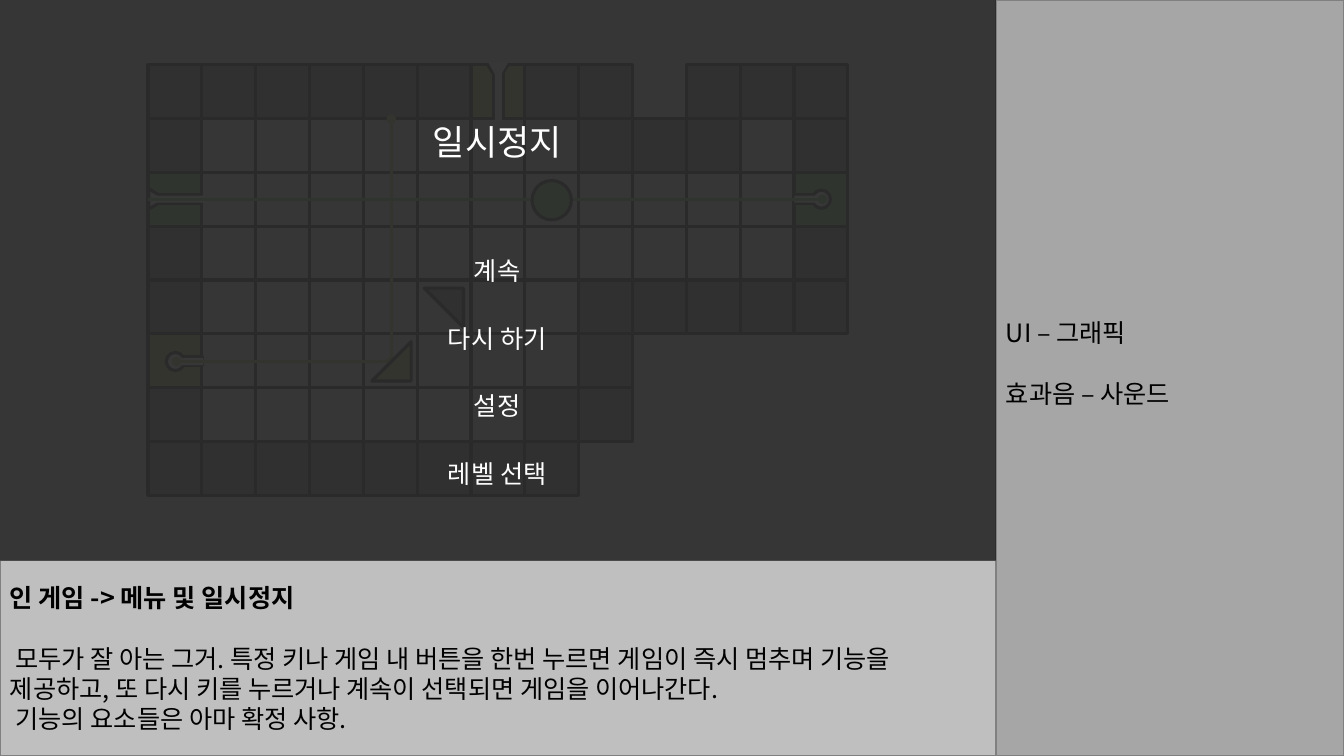
from dataclasses import dataclass

from lxml import etree
from pptx import Presentation
from pptx.dml.color import RGBColor
from pptx.enum.shapes import MSO_CONNECTOR, MSO_SHAPE
from pptx.enum.text import MSO_ANCHOR, MSO_AUTO_SIZE, PP_ALIGN
from pptx.oxml.ns import qn
from pptx.util import Cm, Pt

RECT, OVAL = MSO_SHAPE.RECTANGLE, MSO_SHAPE.OVAL
WEDGE, STRIPE = MSO_SHAPE.ISOSCELES_TRIANGLE, MSO_SHAPE.DIAGONAL_STRIPE
STRAIGHT = MSO_CONNECTOR.STRAIGHT
LEFT, CENTER = PP_ALIGN.LEFT, PP_ALIGN.CENTER
MIDDLE, FIT = MSO_ANCHOR.MIDDLE, MSO_AUTO_SIZE.SHAPE_TO_FIT_TEXT


@dataclass(frozen=True)
class Theme:
    """Colours, font and type sizes."""
    font: str = "Noto Sans CJK KR"
    title: float = 25
    body: float = 18
    gap: float = 21.5
    edge: float = 2.25
    black: str = "000000"
    white: str = "FFFFFF"
    stage: str = "F2F2F2"
    note: str = "BFBFBF"
    wall: str = "A6A6A6"
    frame: str = "808080"
    line: str = "595959"
    yellow: str = "E2E29E"
    green: str = "A6DEA2"
    veil: str = "262626"


T = Theme()
TONES = {"o": None, "#": T.wall, "y": T.yellow, "g": T.green}
# o open, # wall, y and g coloured doors, . nothing
BOARD = ("######y##.###",
         "#ooooooo###o#",
         "gooooooooooog",
         "#ooooooooooo#",
         "#ooooooo#####",
         "yooooooo#",
         "#oooooo##",
         "########")
LEFT_X, TOP_Y, PITCH = 3.73, 1.63, 16.28 / 12
STAGE = (0, 0, 25.1, 14.13)
MID_X = 12.53


def rgb(tone):
    """Turn a hex string into a colour."""
    return RGBColor.from_string(tone)


def shape(slide, kind, box, fill=None, line=None, width=T.edge, turn=0):
    """Add a preset shape; box is left, top, width, height in cm."""
    item = slide.shapes.add_shape(kind, *map(Cm, box))
    item.shadow.inherit = False
    item.rotation = turn
    if fill:
        item.fill.solid()
        item.fill.fore_color.rgb = rgb(fill)
    else:
        item.fill.background()
    if line:
        item.line.color.rgb = rgb(line)
        item.line.width = Pt(width)
    else:
        item.line.fill.background()
    return item


def write(para, text, size, tone, bold=False):
    """Add one run with its Latin and East Asian font."""
    run = para.add_run()
    run.text = text
    run.font.size = Pt(size)
    run.font.bold = bold
    run.font.color.rgb = rgb(tone)
    run.font.name = T.font
    etree.SubElement(run.font._element, qn("a:ea"), typeface=T.font)


def panel(slide, box, fill, lines, foot=0.13):
    """Add a framed panel; lines hold text, bold flag and space before."""
    frame = shape(slide, RECT, box, fill, T.frame, 1).text_frame
    frame.word_wrap = True
    frame.vertical_anchor = MIDDLE
    frame.margin_bottom = Cm(foot)
    for i, (text, bold, gap) in enumerate(lines):
        para = frame.add_paragraph() if i else frame.paragraphs[0]
        para.alignment = LEFT
        para.space_before = Pt(gap)
        write(para, text, T.body, T.black, bold)


def label(slide, text, top, width, height, size):
    """Add a white menu label centred on the stage."""
    box = (MID_X - width / 2, top, width, height)
    frame = slide.shapes.add_textbox(*map(Cm, box)).text_frame
    frame.word_wrap = False
    frame.auto_size = FIT
    para = frame.paragraphs[0]
    para.alignment = CENTER
    write(para, text, size, T.white)


def board(slide):
    """Lay out the level cells, open ones at the back."""
    for mark, fill in TONES.items():
        for row, marks in enumerate(BOARD):
            for col, cell in enumerate(marks):
                if cell == mark:
                    box = (LEFT_X + col * PITCH, TOP_Y + row * PITCH,
                           PITCH, PITCH)
                    shape(slide, RECT, box, fill, T.line)


def key(slide, slot, ring, mid):
    """Add a keyhole: an outlined slot, a ring and a white joint."""
    shape(slide, RECT, (slot, mid - 0.12, 0.53, 0.23), T.white, T.line)
    shape(slide, OVAL, (ring, mid - 0.23, 0.46, 0.46), T.white, T.line)
    shape(slide, RECT, (slot, mid - 0.09, 0.56, 0.18), T.white)


def gates(slide):
    """Add the funnel gates at the top and left doors."""
    shape(slide, RECT, (12.45, 1.88, 0.23, 1.09), T.white, T.line)
    shape(slide, WEDGE, (12.29, 1.63, 0.51, 0.43), T.white, T.line, turn=180)
    shape(slide, RECT, (12.47, 1.75, 0.18, 1.3), T.white)
    shape(slide, WEDGE, (12.29, 1.55, 0.53, 0.46), T.white, turn=180)
    shape(slide, WEDGE, (3.71, 4.8, 0.51, 0.43), T.white, T.line, turn=90)
    shape(slide, RECT, (3.99, 4.9, 1.09, 0.23), T.white, T.line)
    shape(slide, RECT, (3.94, 4.93, 1.24, 0.18), T.white)


def beam(slide, ends, tone, caps):
    """Add a light beam with oval caps at the named ends."""
    item = slide.shapes.add_connector(STRAIGHT, *map(Cm, ends))
    item.line.color.rgb = rgb(tone)
    item.line.width = Pt(T.edge)
    for cap in caps:
        etree.SubElement(item.line._get_or_add_ln(), qn(cap), type="oval")
    etree.SubElement(item._element.spPr, qn("a:effectLst"))


def mirror(slide, left, top, fill, turn):
    """Add a triangular mirror."""
    item = shape(slide, STRIPE, (left, top, 0.99, 0.99), fill, T.line,
                 turn=turn)
    item.adjustments[0] = 0


def veil(slide):
    """Dim the stage with a see-through cover."""
    item = shape(slide, RECT, STAGE, T.veil)
    tone = item._element.spPr.find(".//" + qn("a:srgbClr"))
    etree.SubElement(tone, qn("a:alpha"), val="92000")


def main():
    """Build the pause menu slide."""
    deck = Presentation()
    deck.slide_width, deck.slide_height = Cm(33.87), Cm(19.05)
    slide = deck.slides.add_slide(deck.slide_layouts[6])

    shape(slide, RECT, STAGE, T.stage)
    panel(slide, (0, 14.13, 25.1, 4.92), T.note, (
        ("인 게임 -> 메뉴 및 일시정지", True, 0),
        (" 모두가 잘 아는 그거. 특정 키나 게임 내 버튼을 한번 누르면 게임이 "
         "즉시 멈추며 기능을 제공하고, 또 다시 키를 누르거나 계속이 "
         "선택되면 게임을 이어나간다.", False, T.gap),
        (" 기능의 요소들은 아마 확정 사항.", False, 0)))
    panel(slide, (25.1, 0, 8.77, 19.05), T.wall, (
        ("UI – 그래픽", False, 0),
        ("효과음 – 사운드", False, T.gap)), foot=0.89)

    board(slide)
    key(slide, 4.57, 4.19, 9.11)
    key(slide, 20.02, 20.47, 5.02)
    gates(slide)
    both = ("a:headEnd", "a:tailEnd")
    beam(slide, (4.45, 9.11, 9.86, 9.11), T.yellow, both)
    mirror(slide, 10.69, 7.26, T.wall, 90)
    beam(slide, (9.86, 9.11, 9.86, 3), T.yellow, both)
    beam(slide, (20.73, 5.02, 3.73, 5.02), T.green, both[:1])
    shape(slide, OVAL, (13.41, 4.55, 0.99, 0.99), T.green, T.line)
    mirror(slide, 9.37, 8.61, T.yellow, 180)

    veil(slide)
    label(slide, "일시정지", 2.9, 4.06, 1.32, T.title)
    menu = (("계속", 1.8), ("다시 하기", 3.3), ("설정", 1.8), ("레벨 선택", 3.3))
    for i, (text, width) in enumerate(menu):
        label(slide, text, 6.32 + 1.7 * i, width, 1.02, T.body)

    deck.save("out.pptx")


main()
